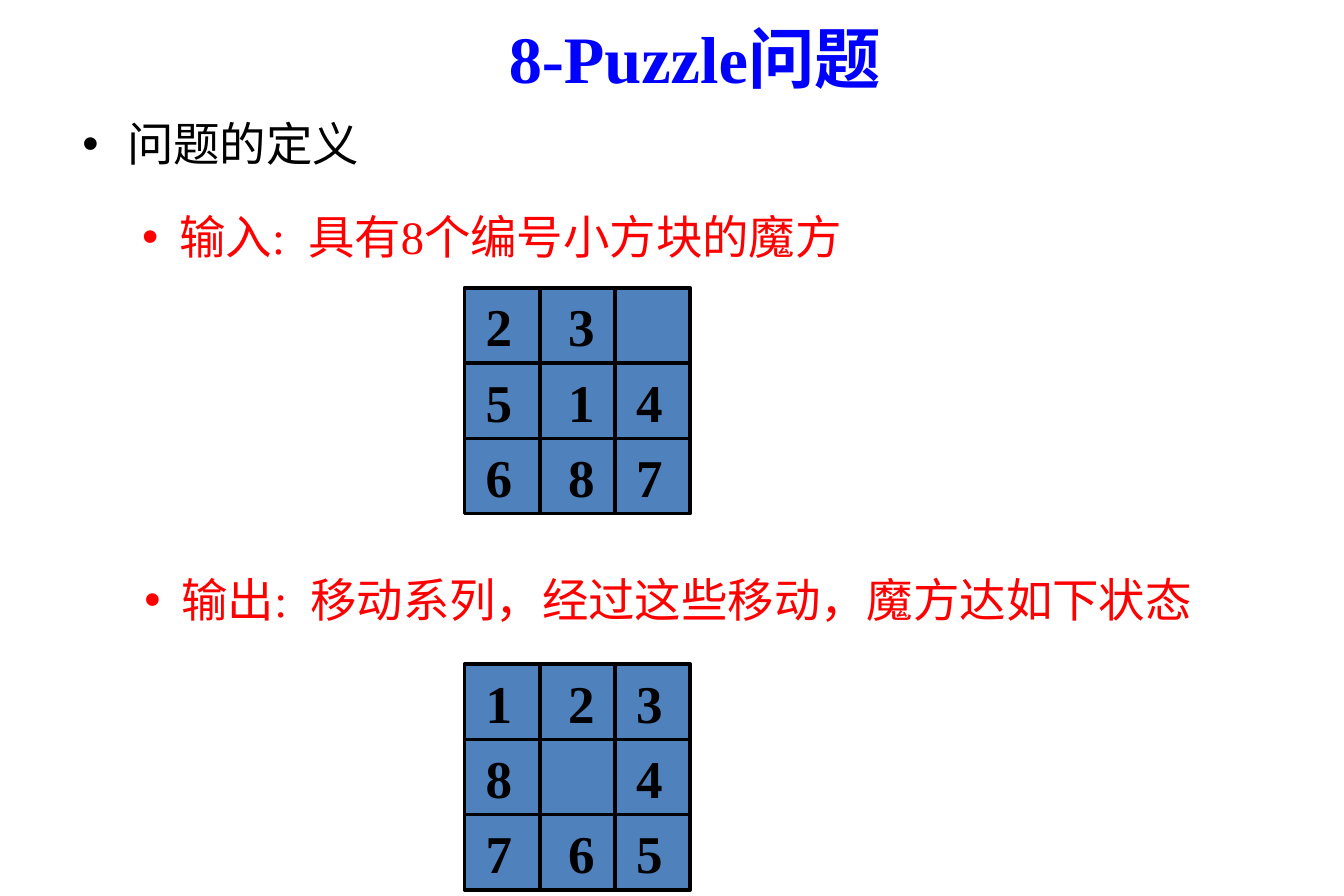
from lxml import etree
from pptx import Presentation
from pptx import util as u
from pptx.dml.color import RGBColor
from pptx.enum import shapes, text
from pptx.oxml import ns

COLORS = {"title": "0000FF", "topic": "000000", "detail": "FF0000",
          "tile": "4F81BD", "grid": "000000", "background": "FFFFFF"}
FONT = "Times New Roman"
CELL = 1.6                         # tile side in cm
DIGIT_OFFSETS = (0.2, 1.95, 3.4)   # left of each column's digit box
DIGIT_WIDTH = 1.07
START = ("23 ", "514", "687")
GOAL = ("123", "8 4", "765")


def color(name):
    return RGBColor.from_string(COLORS[name])


def place(part, box):
    part.left, part.top, part.width, part.height = (u.Cm(v) for v in box)


def style(paragraph, size, color_name, bold=False):
    for run in paragraph.runs:
        run.font.name = FONT
        run.font.size = u.Pt(size)
        run.font.bold = bold
        run.font.color.rgb = color(color_name)


def add_bullet(paragraph, margin, hanging, color_name):
    properties = paragraph._p.get_or_add_pPr()
    properties.set("marL", str(u.Cm(margin)))
    properties.set("indent", str(-u.Cm(hanging)))
    etree.SubElement(properties, ns.qn("a:buFont")).set("typeface", "Arial")
    etree.SubElement(properties, ns.qn("a:buChar")).set("char", "•")
    paragraph.alignment = text.PP_ALIGN.JUSTIFY
    paragraph.line_spacing = 1.5
    style(paragraph, 28, color_name)


def add_detail(paragraph):
    paragraph.level = 1
    add_bullet(paragraph, 2.06, 0.79, "detail")


# Heading
def fill_title(title, box):
    place(title, box)
    frame = title.text_frame
    frame.text = "8-Puzzle问题"
    frame.auto_size = text.MSO_AUTO_SIZE.NONE
    frame.vertical_anchor = text.MSO_ANCHOR.MIDDLE
    frame.paragraphs[0].alignment = text.PP_ALIGN.RIGHT
    style(frame.paragraphs[0], 40, "title", bold=True)


# Definition and input
def fill_definition(body, box):
    place(body, box)
    frame = body.text_frame
    frame.text = "问题的定义\n输入:  具有8个编号小方块的魔方"
    frame.auto_size = text.MSO_AUTO_SIZE.NONE
    frame.vertical_anchor = text.MSO_ANCHOR.TOP
    topic, puzzle_input = frame.paragraphs
    add_bullet(topic, 0.95, 0.95, "topic")
    topic.space_before = u.Pt(0)
    add_detail(puzzle_input)
    puzzle_input.space_before = u.Pt(5.6)


# Output
def add_output(slide, box):
    frame = slide.shapes.add_textbox(*(u.Cm(v) for v in box)).text_frame
    frame.word_wrap = True
    frame.text = "输出:  移动系列，经过这些移动，魔方达如下状态"
    add_detail(frame.paragraphs[0])


# Puzzle board
def add_grid_line(board, *ends):
    line = board.shapes.add_connector(
        shapes.MSO_CONNECTOR.STRAIGHT, *(u.Cm(v) for v in ends))
    line.line.color.rgb = color("grid")
    line.line.width = u.Pt(2.25)
    etree.SubElement(line._element.spPr, ns.qn("a:effectLst"))


def add_digit(board, digit, box):
    frame = board.shapes.add_textbox(*(u.Cm(v) for v in box)).text_frame
    frame.word_wrap = False
    frame.auto_size = text.MSO_AUTO_SIZE.SHAPE_TO_FIT_TEXT
    frame.text = digit
    style(frame.paragraphs[0], 32, "grid", bold=True)


def add_board(slide, box, rows):
    left, top, side = box
    board = slide.shapes.add_group_shape()
    square = board.shapes.add_shape(
        shapes.MSO_SHAPE.RECTANGLE,
        *(u.Cm(v) for v in (left, top, side, side)))
    square.shadow.inherit = False
    square.fill.solid()
    square.fill.fore_color.rgb = color("tile")
    square.line.color.rgb = color("grid")
    square.line.width = u.Pt(2.25)
    for offset in (CELL, 2 * CELL):
        add_grid_line(board, left, top + offset, left + side, top + offset)
        add_grid_line(board, left + offset, top, left + offset, top + side)
    for row, digits in enumerate(rows):
        for offset, digit in zip(DIGIT_OFFSETS, digits):
            if digit != " ":
                add_digit(board, digit, (left + offset, top + row * CELL,
                                         DIGIT_WIDTH, CELL))


def main():
    deck = Presentation()
    deck.slide_width, deck.slide_height = u.Cm(28.58), u.Cm(19.05)
    slide = deck.slides.add_slide(deck.slide_layouts[1])
    slide.background.fill.solid()
    slide.background.fill.fore_color.rgb = color("background")
    fill_title(slide.shapes.title, (9.4, 0.23, 9.58, 1.96))
    fill_definition(slide.placeholders[1], (1.5, 1.73, 25.65, 4.04))
    add_board(slide, (9.88, 6.12, 3 * CELL), START)
    add_output(slide, (1.55, 11.43, 26.19, 1.83))
    add_board(slide, (9.88, 14.12, 3 * CELL), GOAL)
    deck.save("out.pptx")


if __name__ == "__main__":
    main()
